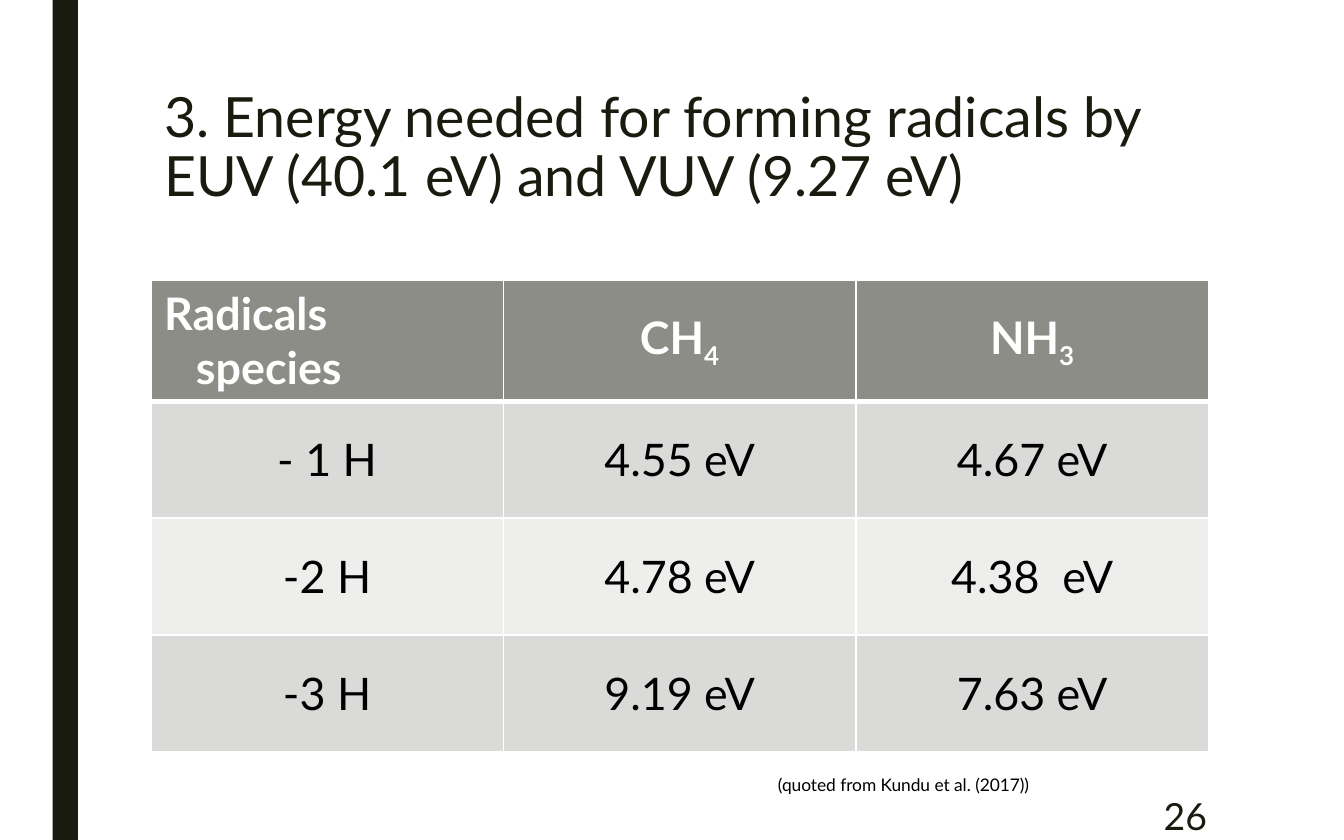
import pptx
import pptx.util
import pptx.dml.color
import pptx.enum.shapes
import pptx.enum.text
import pptx.oxml
import pptx.oxml.ns

Pt = pptx.util.Pt
ALIGN = pptx.enum.text.PP_ALIGN
ANCHOR = pptx.enum.text.MSO_ANCHOR

FONT = "Lato"
COLORS = {
    "dark": "191B0E",
    "white": "FFFFFF",
    "black": "000000",
    "header": "8C8D86",
    "odd_row": "DADBD9",
    "even_row": "EEEEED",
}

TITLE = "3. Energy needed for forming radicals by EUV (40.1 eV) and VUV (9.27 eV)"
CORNER = ("Radicals", "species")
MOLECULES = [("CH", "4"), ("NH", "3")]
ENERGIES = [
    ("- 1 H", "4.55 eV", "4.67 eV"),
    ("-2 H", "4.78 eV", "4.38  eV"),
    ("-3 H", "9.19 eV", "7.63 eV"),
]
CITATION = "(quoted from Kundu et al. (2017))"
PAGE_NUMBER = "26"

LEFT = 80.8
TABLE_TOP, TABLE_WIDTH, ROW_HEIGHT = 150, 566.6, 62.7
TABLE_SIZE = 24
SUBSCRIPT = "-25000"


def rgb(name):
    return pptx.dml.color.RGBColor.from_string(COLORS[name])


def style(paragraph, size, color, bold=False, align=ALIGN.LEFT, indent=0):
    paragraph.alignment = align
    font = paragraph.font
    font.name, font.size, font.bold = FONT, Pt(size), bold
    font.color.rgb = rgb(color)
    if indent:
        paragraph._p.get_or_add_pPr().set("marL", str(Pt(indent)))


def add_run(paragraph, text, subscript=False):
    run = paragraph.add_run()
    run.text = text
    if subscript:
        run.font._element.set("baseline", SUBSCRIPT)


def add_text(slide, box, text, size, color, anchor=ANCHOR.TOP, subscript=False, **options):
    frame = slide.shapes.add_textbox(*map(Pt, box)).text_frame
    frame.word_wrap = True
    frame.vertical_anchor = anchor
    paragraph = frame.paragraphs[0]
    add_run(paragraph, text, subscript)
    style(paragraph, size, color, **options)
    return paragraph


def format_cell(cell, fill, bottom_width):
    """Fill the cell and rule it in white, with its own bottom width."""
    cell.vertical_anchor = ANCHOR.MIDDLE
    properties = cell._tc.get_or_add_tcPr()
    for side, width in (("L", 1), ("R", 1), ("T", 1), ("B", bottom_width)):
        properties.append(pptx.oxml.parse_xml(
            f'<a:ln{side} {pptx.oxml.ns.nsdecls("a")} w="{Pt(width)}"><a:solidFill>'
            f'<a:srgbClr val="{COLORS["white"]}"/></a:solidFill></a:ln{side}>'))
    cell.fill.solid()
    cell.fill.fore_color.rgb = rgb(fill)


def add_energy_table(slide):
    row_count, column_count = len(ENERGIES) + 1, len(MOLECULES) + 1
    table = slide.shapes.add_table(
        row_count, column_count, Pt(LEFT), Pt(TABLE_TOP),
        Pt(TABLE_WIDTH), Pt(ROW_HEIGHT * row_count)).table
    for column in table.columns:
        column.width = Pt(TABLE_WIDTH / column_count)

    corner = table.cell(0, 0).text_frame
    corner.text = "\n".join(CORNER)
    for paragraph, indent in zip(corner.paragraphs, (0, 17)):
        style(paragraph, TABLE_SIZE, "white", bold=True, indent=indent)

    for column, (elements, count) in enumerate(MOLECULES, 1):
        heading = table.cell(0, column).text_frame.paragraphs[0]
        add_run(heading, elements)
        add_run(heading, count, subscript=True)
        style(heading, TABLE_SIZE, "white", bold=True, align=ALIGN.CENTER)

    for row, values in enumerate(ENERGIES, 1):
        for column, value in enumerate(values):
            paragraph = table.cell(row, column).text_frame.paragraphs[0]
            add_run(paragraph, value)
            style(paragraph, TABLE_SIZE, "black", align=ALIGN.CENTER)

    for row in range(row_count):
        fill = "header" if row == 0 else "odd_row" if row % 2 else "even_row"
        for column in range(column_count):
            format_cell(table.cell(row, column), fill, 1 if row else 3)


def main():
    deck = pptx.Presentation()
    deck.slide_width, deck.slide_height = Pt(720), Pt(450)
    slide = deck.slides.add_slide(deck.slide_layouts[6])

    side_bar = slide.shapes.add_shape(
        pptx.enum.shapes.MSO_SHAPE.RECTANGLE, Pt(28.2), 0, Pt(13.6), deck.slide_height)
    side_bar.shadow.inherit = False
    side_bar.fill.solid()
    side_bar.fill.fore_color.rgb = rgb("dark")
    side_bar.line.fill.background()

    title = add_text(slide, (LEFT, 44.6, 567.4, 97.2), TITLE, 29.7, "dark")
    title.line_spacing = 0.89
    add_energy_table(slide)
    add_text(slide, (559.4, 423.4, 94.3, 26.6), PAGE_NUMBER, 20, "dark",
             anchor=ANCHOR.MIDDLE, align=ALIGN.RIGHT)
    add_text(slide, (337.7, 400.3, 252, 20.2), CITATION, 16, "black",
             subscript=True, indent=72)
    deck.save("out.pptx")


if __name__ == "__main__":
    main()
